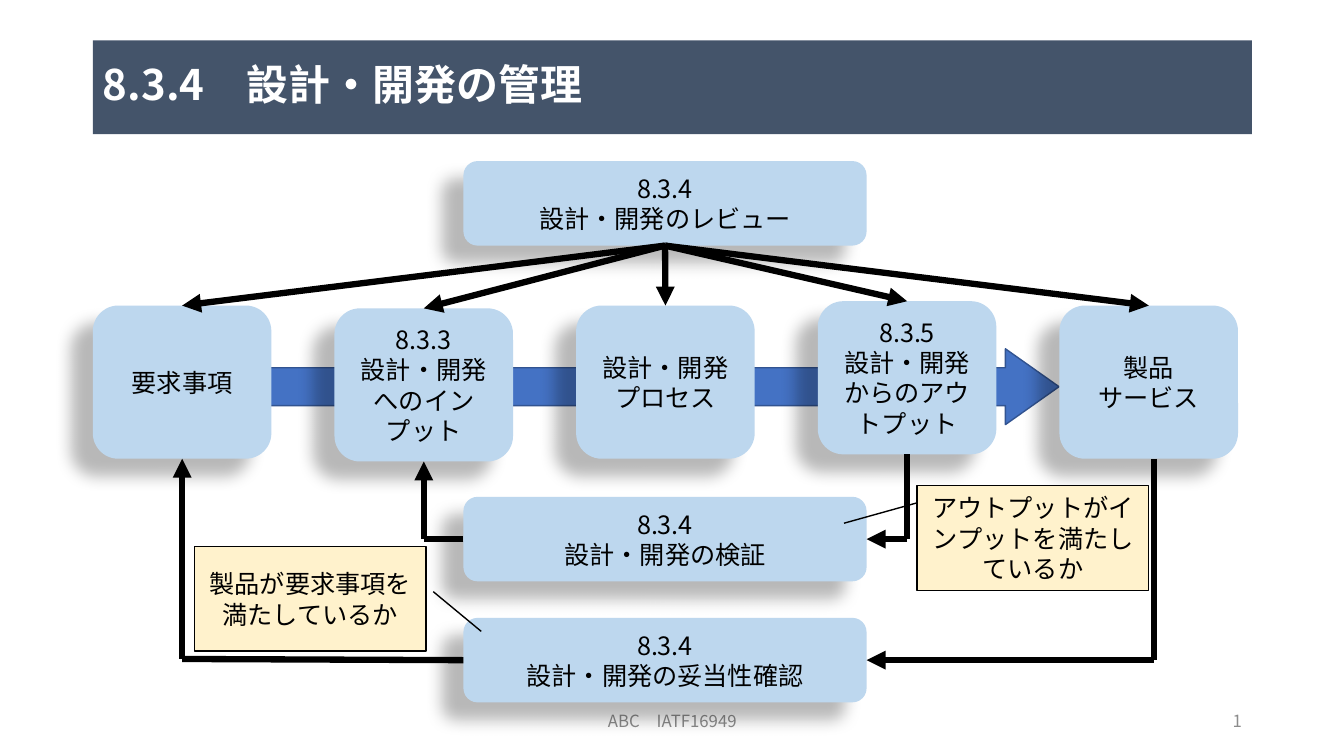
"""Build the slide on design and development controls as a flow diagram."""
from dataclasses import dataclass
from typing import Any, Optional

from lxml.etree import SubElement
from pptx import Presentation
from pptx.dml.color import RGBColor
from pptx.enum.shapes import MSO_CONNECTOR, MSO_SHAPE
from pptx.enum.text import MSO_ANCHOR, MSO_AUTO_SIZE, PP_ALIGN
from pptx.oxml.ns import qn
from pptx.shapes.autoshape import Shape
from pptx.slide import Slide
from pptx.util import Cm, Pt

FONT = "Noto Sans CJK JP"
BLACK = RGBColor(0x00, 0x00, 0x00)
WHITE = RGBColor(0xFF, 0xFF, 0xFF)
GREY = RGBColor(0x8C, 0x8C, 0x8C)
SLATE = RGBColor(0x44, 0x54, 0x6A)
PALE_BLUE = RGBColor(0xBD, 0xD7, 0xEE)
CREAM = RGBColor(0xFF, 0xF2, 0xCC)
BLUE = RGBColor(0x44, 0x72, 0xC4)
DARK_BLUE = RGBColor(0x32, 0x54, 0x91)

TOP, LEFT, BOTTOM, RIGHT = range(4)
STAGE_LEFT, STAGE_PITCH, STAGE_WIDTH, STAGE_HEIGHT = 2.34, 6.09, 4.5, 3.86
BAR_LEFT, BAR_WIDTH, BAR_HEIGHT = 11.68, 10.16, 2.13


@dataclass(frozen=True)
class Box:
    text: str
    left: float
    top: float
    width: float
    height: float


@dataclass(frozen=True)
class Callout:
    box: Box
    pointer: tuple[float, ...]


@dataclass(frozen=True)
class Joint:
    x: int
    y: int
    shape: Optional[Shape] = None
    side: int = TOP


@dataclass(frozen=True)
class Link:
    start: Joint
    end: Joint
    arrow: bool = True


STAGES = [
    Box(text, STAGE_LEFT + i * STAGE_PITCH, top, STAGE_WIDTH, STAGE_HEIGHT)
    for i, (text, top) in enumerate([
        ("要求事項", 7.7),
        ("8.3.3\n設計・開発へのインプット", 7.77),
        ("設計・開発プロセス", 7.7),
        ("8.3.5\n設計・開発からのアウトプット", 7.59),
        ("製品\nサービス", 7.7),
    ])
]
CONTROLS = [
    Box(f"8.3.4\n設計・開発の{control}", BAR_LEFT, top, BAR_WIDTH, BAR_HEIGHT)
    for control, top in [("レビュー", 4.06), ("検証", 12.52), ("妥当性確認", 15.57)]
]
CALLOUTS = [
    Callout(Box("アウトプットがインプットを満たしているか", 23.11, 12.24, 5.84, 2.64),
            (0.164, 0, 0.358, -0.315)),
    Callout(Box("製品が要求事項を満たしているか", 4.9, 13.77, 5.84, 2.64),
            (0.432, 1.031, 0.811, 1.238)),
]
FOOTERS = [
    (Box("ABC　IATF16949", 11.23, 17.65, 11.43, 1.02), PP_ALIGN.CENTER),
    (Box("1", 23.93, 17.65, 7.62, 1.02), PP_ALIGN.RIGHT),
]


def apply(target: Any, values: dict[str, Any]) -> None:
    for name, value in values.items():
        setattr(target, name, value)


def bounds(box: Box) -> tuple[Cm, ...]:
    return tuple(Cm(n) for n in (box.left, box.top, box.width, box.height))


def write(shape: Shape, text: str, size: float, color: RGBColor,
          align: PP_ALIGN = PP_ALIGN.CENTER, bold: bool = False,
          spacing: float = 1.0) -> None:
    frame = shape.text_frame
    frame.text = text
    apply(frame, {"word_wrap": True, "auto_size": MSO_AUTO_SIZE.NONE,
                  "vertical_anchor": MSO_ANCHOR.MIDDLE})
    for paragraph in frame.paragraphs:
        apply(paragraph, {"alignment": align, "line_spacing": spacing})
        for run in paragraph.runs:
            apply(run.font, {"name": FONT, "size": Pt(size), "bold": bold})
            run.font.color.rgb = color
            SubElement(run.font._element, qn("a:ea"), typeface=FONT)


def draw(slide: Slide, preset: MSO_SHAPE, box: Box, fill: RGBColor,
         outline: Optional[RGBColor] = None,
         adjustments: tuple[float, ...] = ()) -> Shape:
    shape = slide.shapes.add_shape(preset, *bounds(box))
    shape.shadow.inherit = False
    shape.fill.solid()
    shape.fill.fore_color.rgb = fill
    if outline is None:
        shape.line.fill.background()
    else:
        shape.line.color.rgb = outline
        shape.line.width = Pt(1)
    for i, value in enumerate(adjustments):
        shape.adjustments[i] = value
    if box.text:
        write(shape, box.text, 18, BLACK)
    return shape


def draw_card(slide: Slide, box: Box) -> Shape:
    card = draw(slide, MSO_SHAPE.ROUNDED_RECTANGLE, box, PALE_BLUE)
    effects = card._element.spPr.find(qn("a:effectLst"))
    shadow = SubElement(effects, qn("a:outerShdw"), blurRad=str(Pt(11.8)),
                        dist=str(Pt(19.7)), dir=str(141 * 60000),
                        algn="tr", rotWithShape="0")
    shade = SubElement(shadow, qn("a:srgbClr"), val=str(BLACK))
    SubElement(shade, qn("a:alpha"), val="28000")
    return card


def side_of(shape: Shape, side: int) -> Joint:
    across, down = [(0.5, 0), (0, 0.5), (0.5, 1), (1, 0.5)][side]
    return Joint(int(shape.left + across * shape.width),
                 int(shape.top + down * shape.height), shape, side)


def draw_link(slide: Slide, link: Link) -> None:
    start, end = link.start, link.end
    connector = slide.shapes.add_connector(
        MSO_CONNECTOR.STRAIGHT, start.x, start.y, end.x, end.y)
    if start.shape is not None:
        connector.begin_connect(start.shape, start.side)
    if end.shape is not None:
        connector.end_connect(end.shape, end.side)
    connector.line.color.rgb = BLACK
    connector.line.width = Pt(4.5)
    properties = connector._element.spPr
    if link.arrow:
        SubElement(properties.find(qn("a:ln")), qn("a:tailEnd"), type="triangle")
    SubElement(properties, qn("a:effectLst"))


def draw_elbow(slide: Slide, start: Joint, corner: Joint, end: Joint) -> None:
    draw_link(slide, Link(start, corner, arrow=False))
    draw_link(slide, Link(corner, end))


def main() -> None:
    deck = Presentation()
    apply(deck, {"slide_width": Cm(33.87), "slide_height": Cm(19.05)})
    slide = deck.slides.add_slide(deck.slide_layouts[5])

    title = slide.shapes.title
    apply(title, {"left": Cm(2.34), "top": Cm(1.02),
                  "width": Cm(29.21), "height": Cm(2.36)})
    title.fill.solid()
    title.fill.fore_color.rgb = SLATE
    write(title, "8.3.4　設計・開発の管理", 30, WHITE, PP_ALIGN.LEFT, True, 0.9)

    draw(slide, MSO_SHAPE.RIGHT_ARROW, Box("", 4.9, 8.79, 21.79, 1.91),
         BLUE, DARK_BLUE, (0.5, 0.707))
    for footer, align in FOOTERS:
        write(slide.shapes.add_textbox(*bounds(footer)), footer.text, 12, GREY, align)

    stages = [draw_card(slide, box) for box in STAGES]
    review, verification, validation = [draw_card(slide, box) for box in CONTROLS]
    requirements, inputs, _, outputs, _ = stages

    for stage in stages:
        draw_link(slide, Link(side_of(review, BOTTOM), side_of(stage, TOP)))

    output_exit, verified = side_of(outputs, BOTTOM), side_of(verification, RIGHT)
    draw_elbow(slide, output_exit, Joint(output_exit.x, verified.y), verified)
    product_exit, validated = Joint(Cm(29.08), Cm(11.56)), side_of(validation, RIGHT)
    draw_elbow(slide, product_exit, Joint(product_exit.x, validated.y), validated)
    for control, stage, corner_rise in [(verification, inputs, 0),
                                        (validation, requirements, Cm(0.03))]:
        leaving, entering = side_of(control, LEFT), side_of(stage, BOTTOM)
        draw_elbow(slide, leaving, Joint(entering.x, leaving.y - corner_rise), entering)

    for callout in CALLOUTS:
        draw(slide, MSO_SHAPE.LINE_CALLOUT_1, callout.box, CREAM, BLACK, callout.pointer)

    deck.save("out.pptx")


if __name__ == "__main__":
    main()
